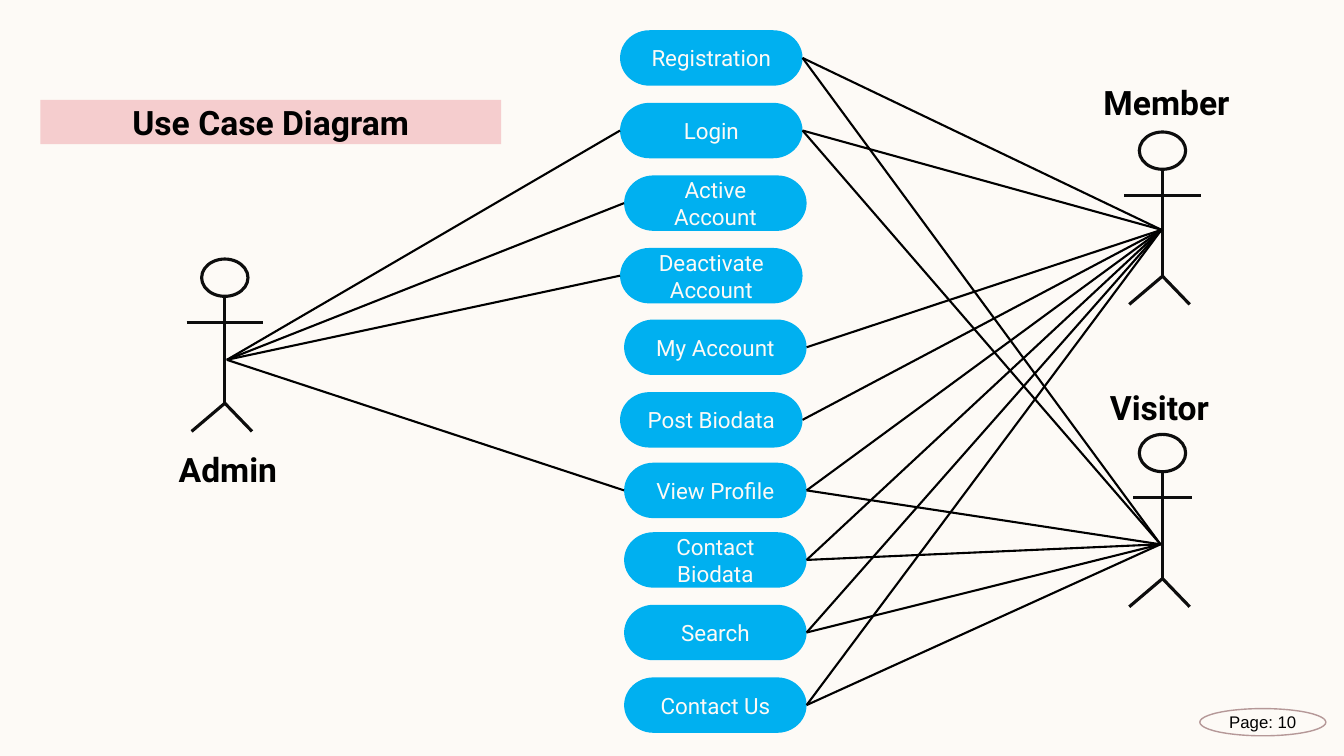
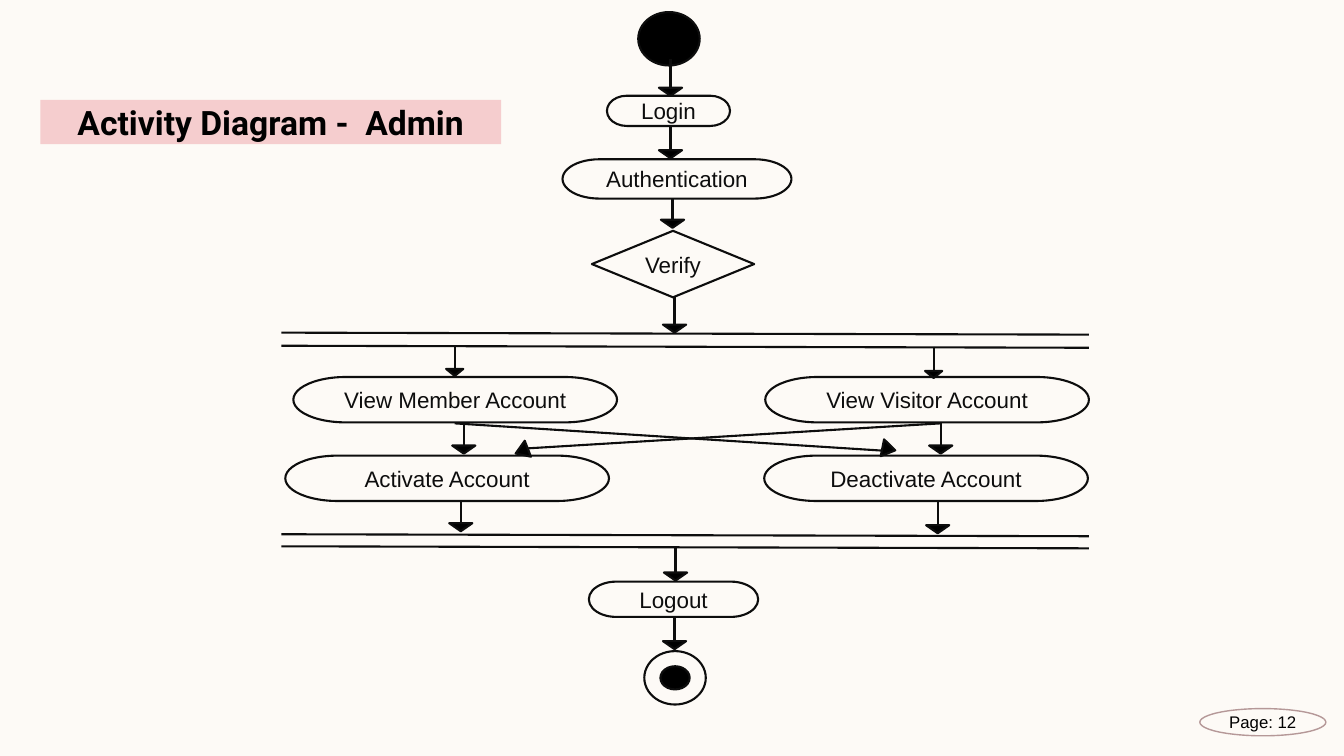
from dataclasses import dataclass

from lxml import etree
from pptx import Presentation
from pptx.dml.color import RGBColor
from pptx.enum.shapes import MSO_CONNECTOR, MSO_SHAPE
from pptx.enum.text import MSO_ANCHOR, MSO_AUTO_SIZE, PP_ALIGN
from pptx.oxml.ns import qn
from pptx.util import Inches, Pt

OVAL = MSO_SHAPE.OVAL
PILL = MSO_SHAPE.FLOWCHART_TERMINATOR
CHOICE = MSO_SHAPE.FLOWCHART_DECISION
WEDGE = MSO_SHAPE.FLOWCHART_EXTRACT
STRAIGHT = MSO_CONNECTOR.STRAIGHT
MIDDLE = MSO_ANCHOR.MIDDLE
CENTER = PP_ALIGN.CENTER
NO_FIT = MSO_AUTO_SIZE.NONE
LEFT_SITE, RIGHT_SITE = 1, 3


@dataclass(frozen=True)
class Theme:
    paper: str = "FDFAF6"
    band: str = "F5CDCE"
    blue: str = "00B0F0"
    black: str = "000000"
    ink: str = "0D0D0D"
    rose: str = "B59898"
    head_font: str = "Roboto"
    body_font: str = "Arial"
    head_size: int = 24
    body_size: int = 16
    foot_size: int = 12
    thin: float = 1
    rule: float = 1.5
    bold: float = 2.25


def rgb(code):
    return RGBColor.from_string(code)


def box(*sides):
    return [Inches(side) for side in sides]


class Deck:
    def __init__(self, theme):
        self.theme = theme
        self.prs = Presentation()
        self.prs.slide_width, self.prs.slide_height = box(13.33, 7.5)
        back = self.prs.slide_master.background.fill
        back.solid()
        back.fore_color.rgb = rgb(theme.paper)
        self.slide = None

    # Shared frame: title band and page badge
    def page(self, title, number):
        t = self.theme
        self.slide = self.prs.slides.add_slide(self.prs.slide_layouts[5])
        band = self.slide.shapes.title
        band.left, band.top, band.width, band.height = box(0.4, 0.99, 4.57, 0.44)
        band.fill.solid()
        band.fill.fore_color.rgb = rgb(t.band)
        self.words(band, title, t.head_size, t.head_font, t.black, bold=True)
        badge = self.shape(OVAL, 11.9, 7.03, 1.25, 0.27, line=t.rose, width=t.thin)
        self.words(badge, f"Page: {number}", t.foot_size, t.body_font, t.black, wrap=False)

    # Basic elements
    def words(self, shape, text, size, face, color, bold=False, wrap=True):
        frame = shape.text_frame
        frame.text = text
        frame.word_wrap = wrap
        frame.auto_size = NO_FIT
        frame.vertical_anchor = MIDDLE
        para = frame.paragraphs[0]
        para.alignment = CENTER
        font = para.runs[0].font
        font.size, font.name, font.bold = Pt(size), face, bold
        font.color.rgb = rgb(color)

    def shape(self, kind, x, y, w, h, fill=None, line=None, width=Theme.rule):
        item = self.slide.shapes.add_shape(kind, *box(x, y, w, h))
        item.shadow.inherit = False
        if fill:
            item.fill.solid()
            item.fill.fore_color.rgb = rgb(fill)
        else:
            item.fill.background()
        if line:
            item.line.color.rgb = rgb(line)
            item.line.width = Pt(width)
        else:
            item.line.fill.background()
        return item

    def label(self, text, x, y):
        t = self.theme
        item = self.slide.shapes.add_textbox(*box(x, y, 2.26, 0.55))
        self.words(item, text, t.head_size, t.head_font, t.black, bold=True)

    def line(self, x1, y1, x2, y2, color=Theme.ink, width=Theme.rule):
        item = self.slide.shapes.add_connector(STRAIGHT, *box(x1, y1, x2, y2))
        item.line.color.rgb = rgb(color)
        item.line.width = Pt(width)
        etree.SubElement(item._element.spPr, qn("a:effectLst"))
        return item

    # Use case parts
    def actor(self, mid, top, reach):
        t = self.theme
        hip, foot, arm = top + 1.43, top + 1.71, top + 0.63
        self.shape(OVAL, mid - 0.23, top, 0.46, 0.37, line=t.ink, width=t.bold)
        for ends in ((mid, top + 0.37, mid, hip),
                     (mid - reach, arm, mid + reach, arm),
                     (mid, hip, mid - 0.33, foot),
                     (mid, hip, mid + 0.27, foot)):
            self.line(*ends, width=t.bold)

    def case(self, text, x, y):
        t = self.theme
        item = self.shape(PILL, x, y, 1.81, 0.55, fill=t.blue)
        self.words(item, text, t.body_size, t.head_font, t.paper)
        return item

    def link(self, case, site, x, y):
        item = self.line(x, y, x, y, color=self.theme.black)
        item.end_connect(case, site)

    # Activity parts
    def step(self, text, x, y, w, h, kind=PILL):
        t = self.theme
        item = self.shape(kind, x, y, w, h, line=t.ink)
        self.words(item, text, t.body_size, t.body_font, t.ink, wrap=False)

    def tip(self, x, y, w, h, turn):
        t = self.theme
        item = self.shape(WEDGE, x, y, w, h, fill=t.black, line=t.ink)
        item.rotation = turn

    def drop(self, x, top, end, w=0.23, h=0.08):
        self.line(x, top, x, end - h)
        self.tip(x - w / 2, end - h, w, h, 180)


def use_case(deck):
    deck.page("Use Case Diagram", 10)

    # Actors: name, label corner, body centre, head top, arm reach
    for name, x, y, mid, top, reach in (
            ("Admin", 1.13, 4.38, 2.23, 2.57, 0.38),
            ("Member", 10.44, 0.74, 11.53, 1.31, 0.38),
            ("Visitor", 10.37, 3.76, 11.53, 4.31, 0.29)):
        deck.actor(mid, top, reach)
        deck.label(name, x, y)

    # Cases
    near, far = 6.15, 6.19
    cases = {name: deck.case(name, x, y) for name, x, y in (
        ("Registration", near, 0.3), ("Login", near, 1.02),
        ("Active Account", far, 1.74), ("Deactivate Account", near, 2.46),
        ("My Account", far, 3.17), ("Post Biodata", near, 3.89),
        ("View Profile", far, 4.59), ("Contact Biodata", far, 5.28),
        ("Search", far, 6), ("Contact Us", far, 6.72))}

    # Links from each actor
    shared = ["Registration", "Login", "View Profile", "Contact Biodata",
              "Search", "Contact Us"]
    for x, y, site, names in (
            (2.25, 3.57, LEFT_SITE,
             ["Login", "Active Account", "Deactivate Account", "View Profile"]),
            (11.52, 2.28, RIGHT_SITE, shared + ["My Account", "Post Biodata"]),
            (11.51, 5.4, RIGHT_SITE, shared)):
        for name in names:
            deck.link(cases[name], site, x, y)


def admin_flow(deck):
    t = deck.theme
    deck.page("Activity Diagram -  Admin", 12)

    # Start and end marks
    deck.shape(OVAL, 6.33, 0.12, 0.61, 0.53, fill=t.black, line=t.ink)
    deck.shape(OVAL, 6.39, 6.46, 0.61, 0.53, line=t.ink)
    deck.shape(OVAL, 6.55, 6.61, 0.29, 0.23, fill=t.black, line=t.ink)

    # Steps
    deck.step("Login", 6.02, 0.95, 1.22, 0.3)
    deck.step("Authentication", 5.58, 1.58, 2.27, 0.39)
    deck.step("Verify", 5.87, 2.29, 1.61, 0.66, CHOICE)
    for text, x, y in (("View Member Account", 2.91, 3.74),
                       ("View Visitor Account", 7.59, 3.74),
                       ("Activate Account", 2.83, 4.52),
                       ("Deactivate Account", 7.58, 4.52)):
        deck.step(text, x, y, 3.21, 0.45)
    deck.step("Logout", 5.84, 5.77, 1.68, 0.35)

    # Fork and join bars
    for y in (3.3, 3.43, 5.3, 5.42):
        deck.line(2.79, y, 10.8, y + 0.02)

    # Downward arrows: x, start, end
    for x, top, end in ((6.65, 0.59, 0.95), (6.65, 1.25, 1.57),
                        (6.67, 1.97, 2.26), (6.69, 2.94, 3.3),
                        (4.6, 4.2, 4.5), (9.33, 4.2, 4.5),
                        (4.57, 4.97, 5.27), (9.3, 4.97, 5.29),
                        (6.7, 5.42, 5.76), (6.69, 6.13, 6.44)):
        deck.drop(x, top, end)
    for x, top, end in ((4.51, 3.43, 3.73), (9.26, 3.44, 3.75)):
        deck.drop(x, top, end, 0.17, 0.07)

    # Crossing arrows
    deck.line(4.51, 4.2, 8.74, 4.47)
    deck.tip(8.73, 4.39, 0.17, 0.13, 101.4)
    deck.line(9.33, 4.2, 5.2, 4.45)
    deck.tip(5.09, 4.41, 0.17, 0.13, 248.6)


def main():
    deck = Deck(Theme())
    use_case(deck)
    admin_flow(deck)
    deck.prs.save("out.pptx")


if __name__ == "__main__":
    main()
